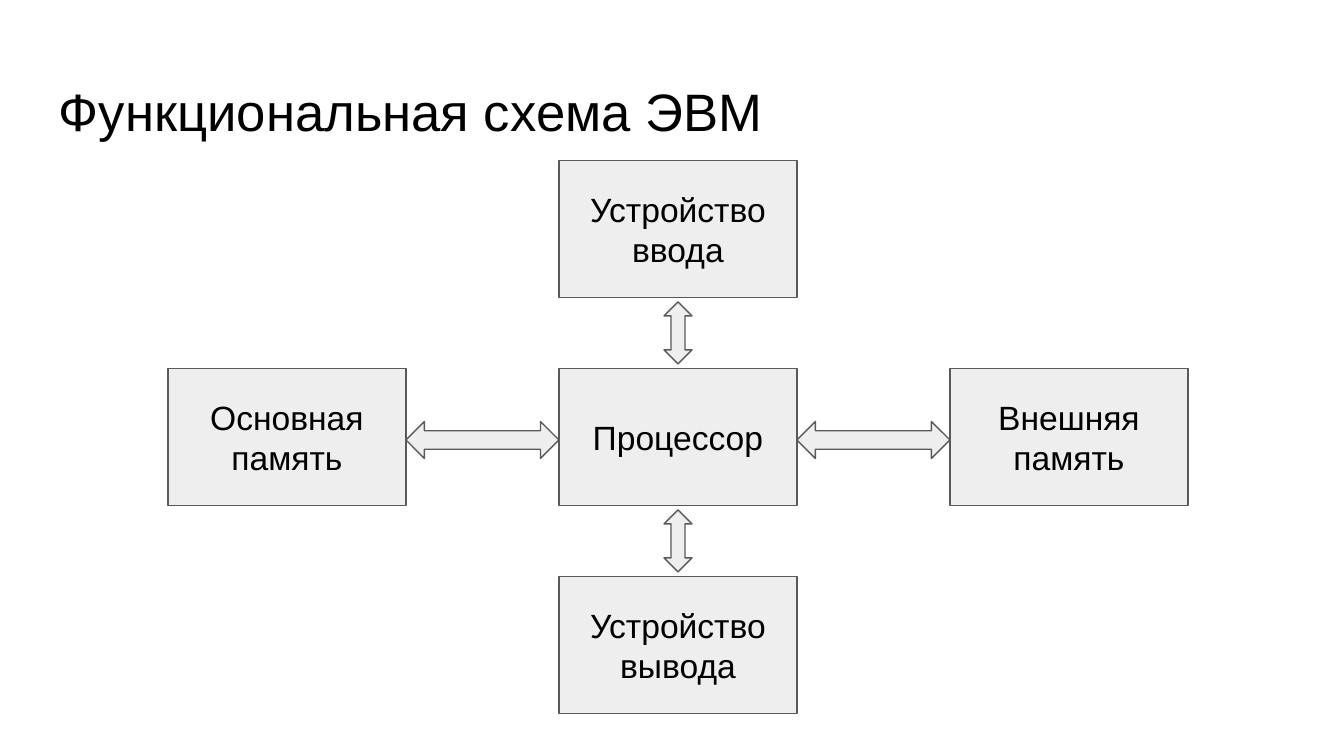
from pptx import Presentation
from pptx.dml.color import RGBColor
from pptx.enum.shapes import MSO_SHAPE
from pptx.enum.text import MSO_ANCHOR, PP_ALIGN
from pptx.util import Emu, Pt

SCALE = 914400 / 134.4


def px(n):
    return Emu(round(n * SCALE))


def color(code):
    return RGBColor.from_string(code)


class Scheme:
    face, ink, pale, edge = "Arial", "000000", "EEEEEE", "595959"

    def __init__(self, slide):
        self.slide = slide

    def label(self, shape, text, size, align, anchor):
        frame = shape.text_frame
        pad = px(13)
        layout = {
            "word_wrap": True, "vertical_anchor": anchor,
            "margin_left": pad, "margin_right": pad,
            "margin_top": pad, "margin_bottom": pad,
        }
        for name, value in layout.items():
            setattr(frame, name, value)
        line = frame.paragraphs[0]
        line.text = text
        line.alignment = align
        font = line.runs[0].font
        for name, value in {"name": self.face, "size": Pt(size)}.items():
            setattr(font, name, value)
        font.color.rgb = color(self.ink)

    def title(self, text, left, top, width, height):
        box = self.slide.shapes.add_textbox(px(left), px(top), px(width), px(height))
        self.label(box, text, 28.2, PP_ALIGN.LEFT, MSO_ANCHOR.TOP)

    def shape(self, kind, mid, size):
        (x, y), (width, height) = mid, size
        item = self.slide.shapes.add_shape(
            kind, px(x - width / 2), px(y - height / 2), px(width), px(height))
        item.shadow.inherit = False
        item.fill.solid()
        item.fill.fore_color.rgb = color(self.pale)
        item.line.color.rgb = color(self.edge)
        item.line.width = Pt(0.75)
        return item

    def block(self, text, mid):
        item = self.shape(MSO_SHAPE.RECTANGLE, mid, (238, 137))
        self.label(item, text, 18, PP_ALIGN.CENTER, MSO_ANCHOR.MIDDLE)

    def arrow(self, mid, flat):
        if flat:
            self.shape(MSO_SHAPE.LEFT_RIGHT_ARROW, mid, (153, 37))
        else:
            self.shape(MSO_SHAPE.UP_DOWN_ARROW, mid, (28, 62))


def main():
    deck = Presentation()
    deck.slide_width, deck.slide_height = px(1344), px(756)
    scheme = Scheme(deck.slides.add_slide(deck.slide_layouts[6]))
    scheme.title("Функциональная схема ЭВМ", 46, 66, 1253, 84)

    x, y = 678, 437
    across, down = 391, 208
    parts = [
        ("Основная память", -1, 0),
        ("Внешняя память", 1, 0),
        ("Процессор", 0, 0),
        ("Устройство вывода", 0, 1),
        ("Устройство ввода", 0, -1),
    ]
    for text, col, row in parts:
        scheme.block(text, (x + col * across, y + row * down))
    for side in (-1, 1):
        scheme.arrow((x + side * across / 2, y + 3), True)
    for side in (-1, 1):
        scheme.arrow((x, y + side * down / 2), False)

    deck.save("out.pptx")


if __name__ == "__main__":
    main()
